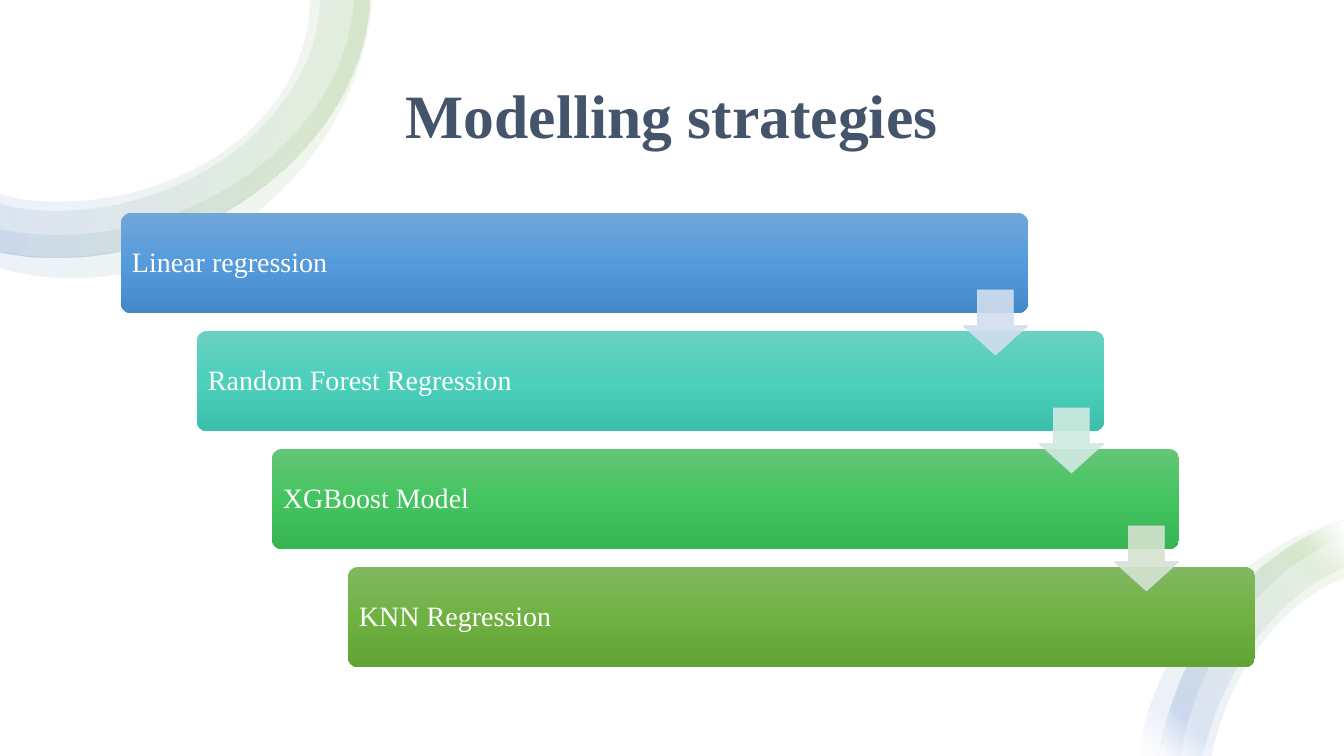
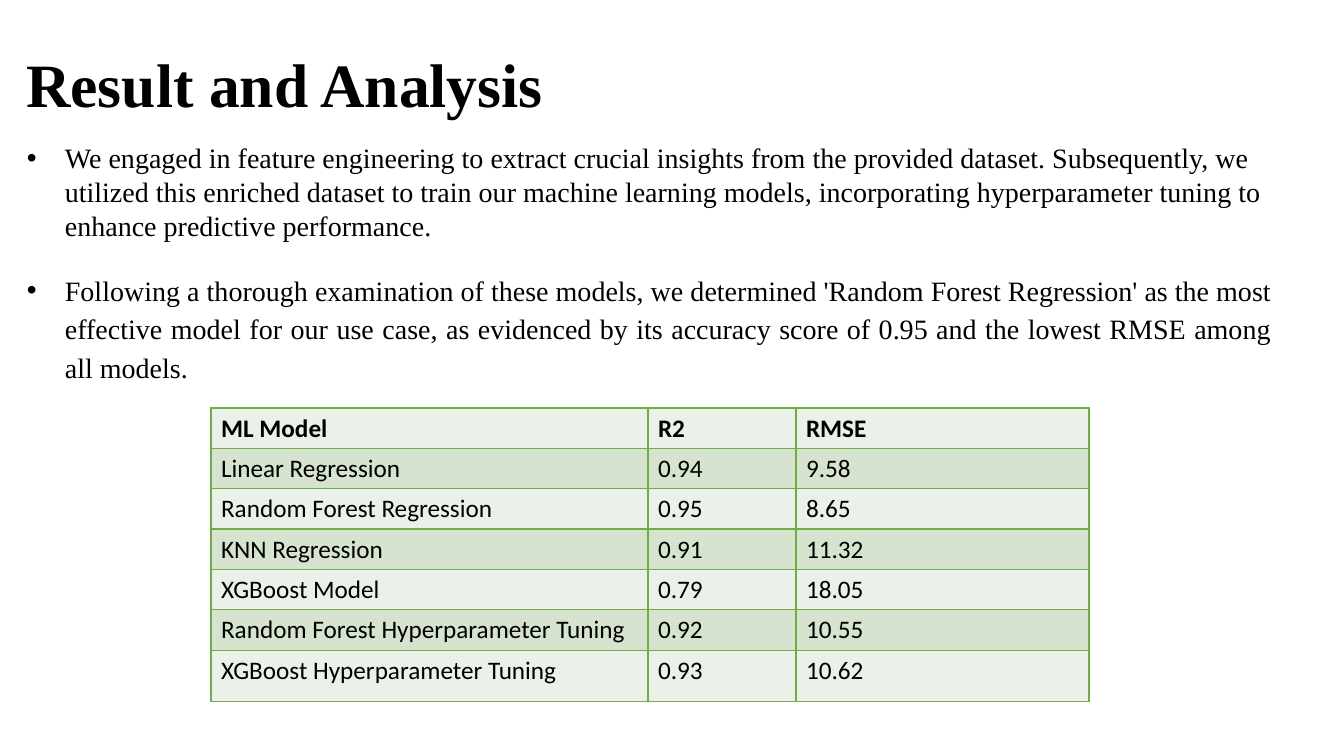
from lxml import etree
from pptx import Presentation
from pptx import util as u
from pptx.dml.color import RGBColor
from pptx.enum import shapes, text
from pptx.oxml import parse_xml
from pptx.oxml.ns import nsdecls, qn

PX = 914400 / 100.8
SERIF, SANS = "Times New Roman", "Calibri"
WHITE = RGBColor(0xFF, 0xFF, 0xFF)
BLACK = RGBColor(0x00, 0x00, 0x00)
SLATE = RGBColor(0x44, 0x54, 0x6A)
BLUE = RGBColor(0x44, 0x72, 0xC4)
GREEN = RGBColor(0x70, 0xAD, 0x47)
PALE_BLUE = RGBColor(0xD2, 0xDE, 0xEF)
PALE_TEAL = RGBColor(0xD0, 0xEA, 0xE1)
PALE_GREEN = RGBColor(0xD5, 0xE3, 0xCF)
LIGHT_GREEN = RGBColor(0xEB, 0xF1, 0xE9)


def px(*lengths):
    return [round(length * PX) for length in lengths]


def fill_gradient(shape, stops, angle, opacity=100):
    """Fill with (percent, colour) stops; the angle runs clockwise in degrees."""
    shape.fill.gradient()
    gradient = shape._element.spPr.find(qn("a:gradFill"))
    stop_list = "".join(
        f'<a:gs pos="{percent * 1000}"><a:srgbClr val="{colour}">'
        f'<a:alpha val="{opacity * 1000}"/></a:srgbClr></a:gs>'
        for percent, colour in stops)
    gradient.getparent().replace(gradient, parse_xml(
        f'<a:gradFill {nsdecls("a")} rotWithShape="1"><a:gsLst>{stop_list}</a:gsLst>'
        f'<a:lin ang="{angle * 60000}" scaled="0"/></a:gradFill>'))


deck = Presentation()
deck.slide_width, deck.slide_height = px(1344, 756)
title_only = deck.slide_layouts[5]

# Titles of both slides
titles = [
    ("Modelling strategies", (130, 58, 1084, 99), SLATE,
     text.PP_ALIGN.CENTER, text.MSO_ANCHOR.BOTTOM, 0.9),
    ("Result and Analysis", (16, 41, 1312, 85), BLACK,
     text.PP_ALIGN.LEFT, text.MSO_ANCHOR.TOP, 1.0),
]
for wording, place, colour, alignment, anchor, spacing in titles:
    title = deck.slides.add_slide(title_only).shapes.title
    title.left, title.top, title.width, title.height = px(*place)
    frame = title.text_frame
    frame.text = wording
    frame.auto_size = text.MSO_AUTO_SIZE.NONE
    frame.vertical_anchor = anchor
    heading = frame.paragraphs[0]
    heading.alignment = alignment
    heading.line_spacing = spacing
    heading.space_after = u.Pt(6 if spacing < 1 else 0)
    heading.font.name, heading.font.size, heading.font.bold = SERIF, u.Pt(44), True
    heading.font.color.rgb = colour
strategies, results = deck.slides

# White backdrop behind the title
backdrop = strategies.shapes.add_shape(shapes.MSO_SHAPE.RECTANGLE, *px(0, 0, 1344, 756))
backdrop.shadow.inherit = False
backdrop.fill.solid()
backdrop.fill.fore_color.rgb = WHITE
backdrop.line.fill.background()
strategies.shapes._spTree.insert(2, backdrop._element)

# Corner swirls: each contour is a chain of cubic curves
corner_rim = [(369, 0), (362, 142), (212, 257), (56, 257), (37, 257), (18, 255), (0, 251)]
corner_partners = [
    [(309, 0), (309, 111), (196, 201), (56, 201), (37, 201), (18, 199), (0, 193)],
    [(319, 0), (317, 110), (197, 210), (56, 210), (37, 210), (18, 208), (0, 203)],
    [(353, 0), (345, 132), (205, 234), (58, 234), (37, 234), (18, 232), (0, 228)],
    [(371, 0), (361, 142), (235, 278), (72, 278), (48, 278), (24, 275), (0, 268)],
]
foot_rim = [(1344, 521), (1250, 551), (1177, 645), (1160, 756)]
foot_partners = [
    [(1344, 578), (1282, 602), (1229, 671), (1212, 756)],
    [(1344, 568), (1278, 595), (1223, 668), (1203, 756)],
    [(1344, 537), (1263, 570), (1197, 655), (1181, 756)],
    [(1344, 519), (1245, 545), (1155, 640), (1139, 756)],
]
swirl_stops = [(2, WHITE), (16, GREEN), (85, BLUE), (100, WHITE)]
for rim, partners, angle in [(corner_rim, corner_partners, 200), (foot_rim, foot_partners, 135)]:
    for partner in partners:
        outline = rim + partner[::-1]
        builder = strategies.shapes.build_freeform(*outline[0], scale=PX)
        builder.add_line_segments(outline[1:], close=True)
        swirl = builder.convert_to_shape()
        # Join each three points of a contour into one cubic curve
        lines = list(swirl._element.spPr.iter(qn("a:lnTo")))
        for contour in (lines[:len(rim) - 1], lines[len(rim):]):
            for first in range(0, len(rim) - 1, 3):
                trio = contour[first:first + 3]
                curve = etree.Element(qn("a:cubicBezTo"))
                trio[0].addprevious(curve)
                for line in trio:
                    curve.append(line[0])
                    line.getparent().remove(line)
        swirl.shadow.inherit = False
        swirl.line.fill.background()
        fill_gradient(swirl, swirl_stops, angle, opacity=10)

# Staircase of models
models = [
    ("Linear regression", ("71A6DB", "559BDB", "448ACA")),
    ("Random Forest Regression", ("6AD1C0", "4CD0BC", "3CC0AC")),
    ("XGBoost Model", ("64C677", "44C460", "36B552")),
    ("KNN Regression", ("81B861", "6FB242", "62A336")),
]
stairs = [(121 + round(i * 75.6), 213 + i * 118) for i in range(len(models))]
for (model, shades), (left, top) in zip(models, stairs):
    stair = strategies.shapes.add_shape(
        shapes.MSO_SHAPE.ROUNDED_RECTANGLE, *px(left, top, 907, 100))
    stair.adjustments[0] = 0.1
    stair.shadow.inherit = False
    stair.line.fill.background()
    fill_gradient(stair, zip((0, 50, 100), shades), 90)
    frame = stair.text_frame
    frame.margin_left, frame.margin_right = px(8, 8)
    frame.vertical_anchor = text.MSO_ANCHOR.MIDDLE
    frame.text = model
    label = frame.paragraphs[0]
    label.alignment = text.PP_ALIGN.LEFT
    label.line_spacing = 0.9
    label.font.name, label.font.size = SERIF, u.Pt(20)
    label.font.color.rgb = WHITE

# Arrows from each stair down to the next
for (left, top), tint in zip(stairs, (PALE_BLUE, PALE_TEAL, PALE_GREEN)):
    arrow = strategies.shapes.add_shape(
        shapes.MSO_SHAPE.DOWN_ARROW, *px(left + 842, top + 77, 65, 65))
    arrow.adjustments[0], arrow.adjustments[1] = 0.55, 0.45
    arrow.shadow.inherit = False
    arrow.fill.solid()
    arrow.fill.fore_color.rgb = tint
    arrow.line.color.rgb = PALE_BLUE
    arrow.line.width = u.Pt(0.5)
    for colour in arrow._element.spPr.iter(qn("a:srgbClr")):
        etree.SubElement(colour, qn("a:alpha")).set("val", "90000")

# Findings
findings = [
    ("We engaged in feature engineering to extract crucial insights from the provided dataset. "
     "Subsequently, we utilized this enriched dataset to train our machine learning models, "
     "incorporating hyperparameter tuning to enhance predictive performance.",
     136, 146, text.PP_ALIGN.LEFT, 1.0, 0),
    ("Following a thorough examination of these models, we determined 'Random Forest Regression' "
     "as the most effective model for our use case, as evidenced by its accuracy score of 0.95 "
     "and the lowest RMSE among all models.",
     263, 124, text.PP_ALIGN.JUSTIFY, 1.15, 12),
]
for wording, top, height, alignment, spacing, after in findings:
    frame = results.shapes.add_textbox(*px(17, top, 1265, height)).text_frame
    frame.word_wrap = True
    frame.text = wording
    finding = frame.paragraphs[0]
    finding.alignment = alignment
    finding.line_spacing = spacing
    finding.space_after = u.Pt(after)
    finding.font.name, finding.font.size = SERIF, u.Pt(20)
    finding.font.color.rgb = BLACK
    properties = finding._p.get_or_add_pPr()
    hanging = px(38)[0]
    properties.set("marL", str(hanging))
    properties.set("indent", str(-hanging))
    etree.SubElement(properties, qn("a:buFont")).set("typeface", "Arial")
    etree.SubElement(properties, qn("a:buChar")).set("char", "•")
    # The schema wants bullets ahead of the default run properties
    properties.append(properties.find(qn("a:defRPr")))

# Scores of the models
scores = [
    ("ML Model", "R2", "RMSE"),
    ("Linear Regression", "0.94", "9.58"),
    ("Random Forest Regression", "0.95", "8.65"),
    ("KNN Regression", "0.91", "11.32"),
    ("XGBoost Model", "0.79", "18.05"),
    ("Random Forest Hyperparameter Tuning", "0.92", "10.55"),
    ("XGBoost Hyperparameter Tuning", "0.93", "10.62"),
]
table = results.shapes.add_table(len(scores), 3, *px(211, 408, 878, 291)).table
table.horz_banding = False
for column, width in zip(table.columns, px(437, 148, 293)):
    column.width = width
for index, (row, values) in enumerate(zip(table.rows, scores)):
    row.height = px(51 if index == len(scores) - 1 else 40)[0]
    for cell, value in zip(row.cells, values):
        cell.text = value
        cell.fill.solid()
        cell.fill.fore_color.rgb = PALE_GREEN if index % 2 else LIGHT_GREEN
        entry = cell.text_frame.paragraphs[0]
        entry.font.name, entry.font.size, entry.font.bold = SANS, u.Pt(18), index == 0
        entry.font.color.rgb = BLACK
        for position, side in enumerate(("lnL", "lnR", "lnT", "lnB")):
            cell._tc.get_or_add_tcPr().insert(position, parse_xml(
                f'<a:{side} {nsdecls("a")} w="12700"><a:solidFill>'
                f'<a:srgbClr val="{GREEN}"/></a:solidFill></a:{side}>'))

deck.save("out.pptx")
